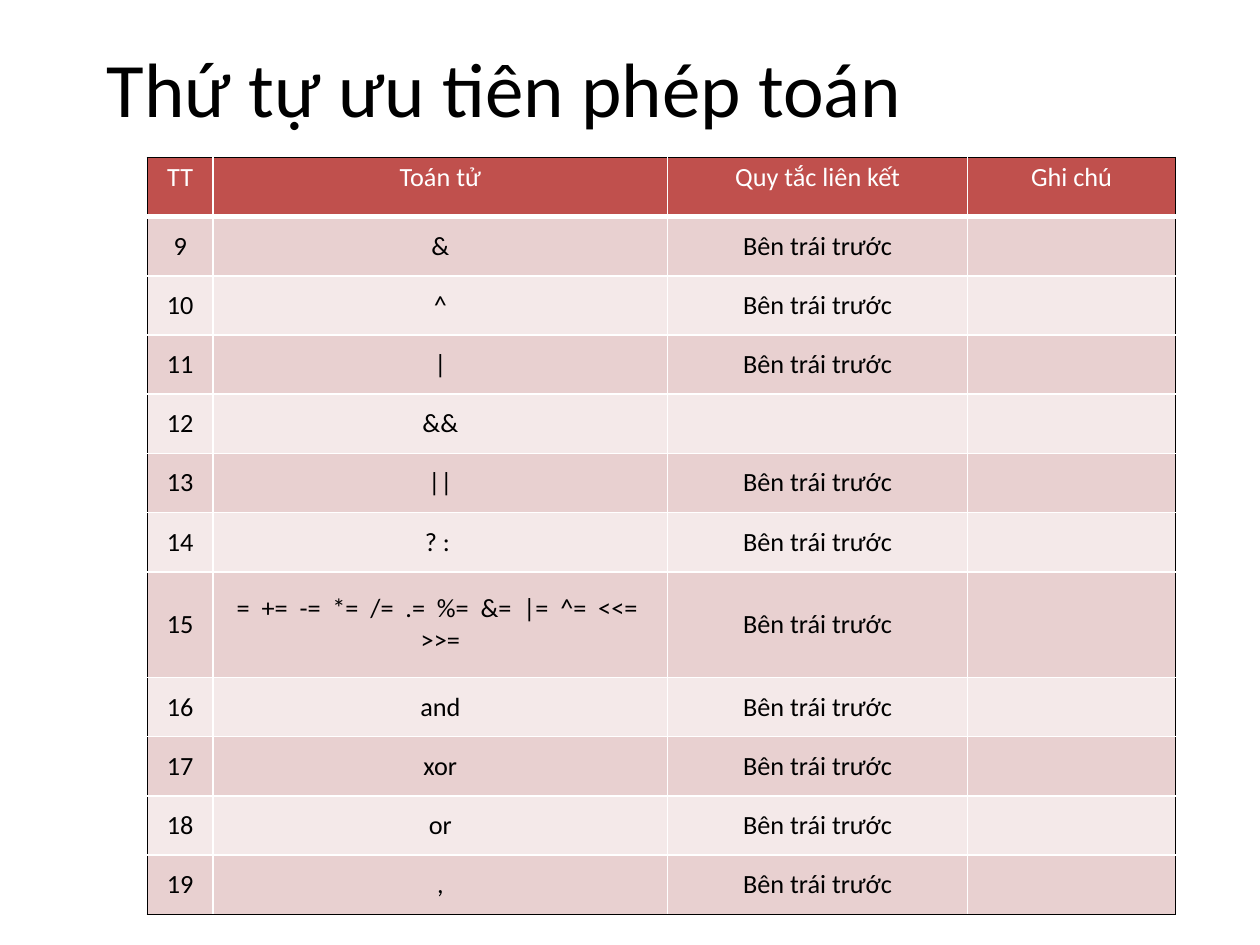
from lxml import etree
from pptx import Presentation
from pptx.dml.color import RGBColor
from pptx.enum.text import MSO_ANCHOR, PP_ALIGN
from pptx.oxml.ns import qn
from pptx.util import Inches, Pt

TOP = MSO_ANCHOR.TOP
MIDDLE = MSO_ANCHOR.MIDDLE
LEFT = PP_ALIGN.LEFT
CENTER = PP_ALIGN.CENTER
BLACK = "000000"
WHITE = "FFFFFF"
RED = "C0504D"
BANDS = ["E8D0D0", "F4E9E9"]
RULE = "Bên trái trước"


def write(frame, text, size, color, align):
    para = frame.paragraphs[0]
    para.alignment = align
    run = para.add_run()
    run.text = text
    run.font.name = "Calibri"
    run.font.size = Pt(size)
    run.font.color.rgb = RGBColor.from_string(color)


def border(cell, side, color, width):
    props = cell._tc.get_or_add_tcPr()
    line = etree.SubElement(props, qn("a:ln" + side), w=str(Pt(width)))
    fill = etree.SubElement(line, qn("a:solidFill"))
    etree.SubElement(fill, qn("a:srgbClr"), val=color)


deck = Presentation()
deck.slide_width = Inches(10)
deck.slide_height = Inches(7.5)
slide = deck.slides.add_slide(deck.slide_layouts[6])

title = slide.shapes.add_textbox(Inches(0.75), Inches(0.25), Inches(9), Inches(0.88))
title.text_frame.word_wrap = True
title.text_frame.vertical_anchor = MIDDLE
write(title.text_frame, "Thứ tự ưu tiên phép toán", 44, BLACK, LEFT)

ops = ["&", "^", "|", "&&", "||", "? : ",
       "=  +=  -=  *=  /=  .=  %=  &=  |=  ^=  <<=  >>=",
       "and", "xor", "or", ","]
rows = [["TT", "Toán tử", "Quy tắc liên kết", "Ghi chú"]]
for rank, op in enumerate(ops, 9):
    rows.append([str(rank), op, "" if op == "&&" else RULE, ""])

widths = [0.52, 3.61, 2.38, 1.65]
last = len(rows) - 1
end = len(widths) - 1
table = slide.shapes.add_table(
    len(rows), len(widths), Inches(1.17), Inches(1.25), Inches(8.17), Inches(6)
).table
for col, width in zip(table.columns, widths):
    col.width = Inches(width)

for r, row in enumerate(rows):
    table.rows[r].height = Inches(0.84 if row[0] == "15" else 0.47)
    for c, text in enumerate(row):
        cell = table.cell(r, c)
        cell.margin_left = cell.margin_right = Inches(0.06)
        cell.margin_top = cell.margin_bottom = Inches(0.03)
        cell.vertical_anchor = MIDDLE if r else TOP
        border(cell, "L", WHITE if c else BLACK, 1)
        border(cell, "R", BLACK if c == end else WHITE, 1)
        border(cell, "T", WHITE if r else BLACK, 1)
        border(cell, "B", BLACK if r == last else WHITE, 1 if r else 3)
        cell.fill.solid()
        cell.fill.fore_color.rgb = RGBColor.from_string(BANDS[(r - 1) % 2] if r else RED)
        if text:
            write(cell.text_frame, text, 15, BLACK if r else WHITE, CENTER)

deck.save("out.pptx")
